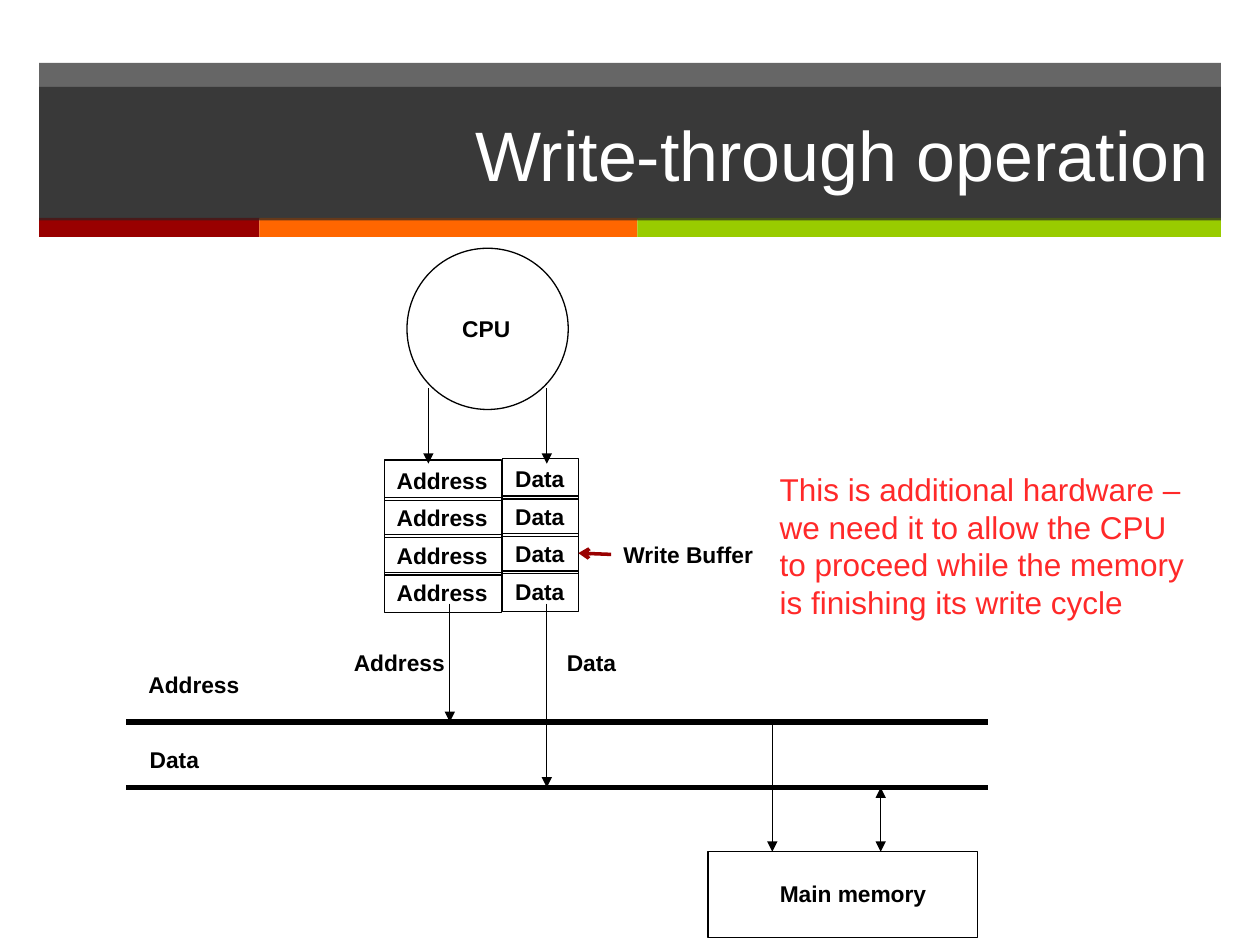
from dataclasses import dataclass

from lxml.etree import SubElement
from pptx import Presentation
from pptx.dml.color import RGBColor as Rgb
from pptx.enum.shapes import MSO_CONNECTOR as Link, MSO_SHAPE as Kind
from pptx.enum.text import MSO_ANCHOR as Anchor, PP_ALIGN as Align
from pptx.oxml.ns import qn
from pptx.util import Inches, Pt

COLS, ROWS = 100, 75


@dataclass(frozen=True)
class Theme:
    font: str = "Arial"
    ink: str = "000000"
    light: str = "FFFFFF"
    band: str = "262626"
    note: str = "FF2929"
    red: str = "990000"
    orange: str = "FF6600"
    green: str = "99CC00"
    label: int = 13
    body: int = 18
    head: int = 40
    thin: float = 0.75
    mid: float = 2
    thick: float = 3


def assign(item, values):
    for name, value in values.items():
        setattr(item, name, value)


class Page:
    def __init__(self, deck, theme):
        self.deck, self.theme = deck, theme
        self.slide = deck.slides.add_slide(deck.slide_layouts[6])

    def place(self, *cells):
        """Turn alternating column and row counts into slide lengths."""
        steps = self.deck.slide_width / COLS, self.deck.slide_height / ROWS
        return [round(cell * steps[i % 2]) for i, cell in enumerate(cells)]

    def shape(self, cells, kind=Kind.RECTANGLE, fill=None, alpha=None):
        """Draw a filled shape, or an outlined one if no fill is given."""
        item = self.slide.shapes.add_shape(kind, *self.place(*cells))
        item.shadow.inherit = False
        if fill:
            item.fill.solid()
            item.fill.fore_color.rgb = Rgb.from_string(fill)
            item.line.fill.background()
            if alpha:
                tint = item.fill._xPr.find(".//" + qn("a:srgbClr"))
                SubElement(tint, qn("a:alpha"), val=str(alpha * 1000))
        else:
            item.fill.background()
            item.line.color.rgb = Rgb.from_string(self.theme.ink)
            item.line.width = Pt(self.theme.thin)
        return item

    def letter(self, item, text, size=None, color=None, bold=True,
               align=Align.LEFT, wrap=False, anchor=Anchor.MIDDLE):
        """Put styled text into a shape or text box."""
        frame = item.text_frame
        assign(frame, {"word_wrap": wrap, "vertical_anchor": anchor})
        para = frame.paragraphs[0]
        para.alignment = align
        run = para.add_run()
        run.text = text
        assign(run.font, {"name": self.theme.font, "bold": bold,
                          "size": Pt(size or self.theme.label)})
        run.font.color.rgb = Rgb.from_string(color or self.theme.ink)

    def text(self, cells, words, **style):
        box = self.slide.shapes.add_textbox(*self.place(*cells))
        self.letter(box, words, **style)

    def line(self, cells, width=None, color=None, head=None, tail=None):
        item = self.slide.shapes.add_connector(Link.STRAIGHT, *self.place(*cells))
        item.line.color.rgb = Rgb.from_string(color or self.theme.ink)
        item.line.width = Pt(width or self.theme.thin)
        for tag, end in (("a:headEnd", head), ("a:tailEnd", tail)):
            if end:
                SubElement(item.line._ln, qn(tag), type=end)
        SubElement(item._element.spPr, qn("a:effectLst"))


def banner(page, theme):
    left, width = 3.1, 93.8
    page.shape((left, 5, width, 12.4), fill=theme.band, alpha=70)
    edge = left
    for span, color in ((17.5, theme.red), (30, theme.orange), (46.3, theme.green)):
        page.shape((edge, 17.3, span, 1.5), fill=color)
        edge += span
    title = page.shape((left, 6.9, width, 10.6), fill=theme.band, alpha=70)
    page.letter(title, "Write-through operation", size=theme.head,
                color=theme.light, bold=False, align=Align.RIGHT, wrap=True)


def diagram(page, theme):
    high = 3.2
    addr, data = 57.3, 62.5
    page.shape((32.3, 19.7, 12.8, 12.8), Kind.OVAL)
    page.shape((56.2, 67.6, 21.4, 6.8))
    for row in (addr, data):
        page.line((10, row, 78.4, row), theme.thick)

    for step in range(4):
        top = 36.5 + 2.97 * step
        for left, lift, width, word in ((30.5, 0, 9.3, "Address"),
                                        (39.9, 0.1, 6, "Data")):
            page.letter(page.shape((left, top - lift, width, high)), word)

    for left, top, width, word in (
            (35.7, 24.5, 5.9, "CPU"), (60.9, 69.3, 13.8, "Main memory"),
            (27.1, 51, 11.1, "Address"), (44, 51, 6, "Data"),
            (10.8, 52.7, 9.3, "Address"), (10.9, 58.7, 6, "Data"),
            (48.5, 42.4, 12.4, "Write Buffer")):
        page.text((left, top, width, high), word)

    for col, start, end, head in (
            (34, 30.8, 36.8, None), (43.4, 30.8, 36.8, None),
            (35.7, 47.9, addr, None), (43.4, 47.9, data, None),
            (61.3, addr, 67.6, None), (69.9, data, 67.6, "triangle")):
        page.line((col, start, col, end), head=head, tail="triangle")


def main():
    theme = Theme()
    deck = Presentation()
    assign(deck, {"slide_width": Inches(10), "slide_height": Inches(7.5)})
    page = Page(deck, theme)
    banner(page, theme)
    diagram(page, theme)
    page.text((60.9, 36.8, 34.3, 13.1),
              "This is additional hardware – we need it to allow the CPU "
              "to proceed while the memory is finishing its write cycle",
              size=theme.body, color=theme.note, bold=False, wrap=True,
              anchor=Anchor.TOP)
    page.line((48.5, 44, 45.9, 43.9), theme.mid, theme.red, tail="arrow")
    deck.save("out.pptx")


if __name__ == "__main__":
    main()
